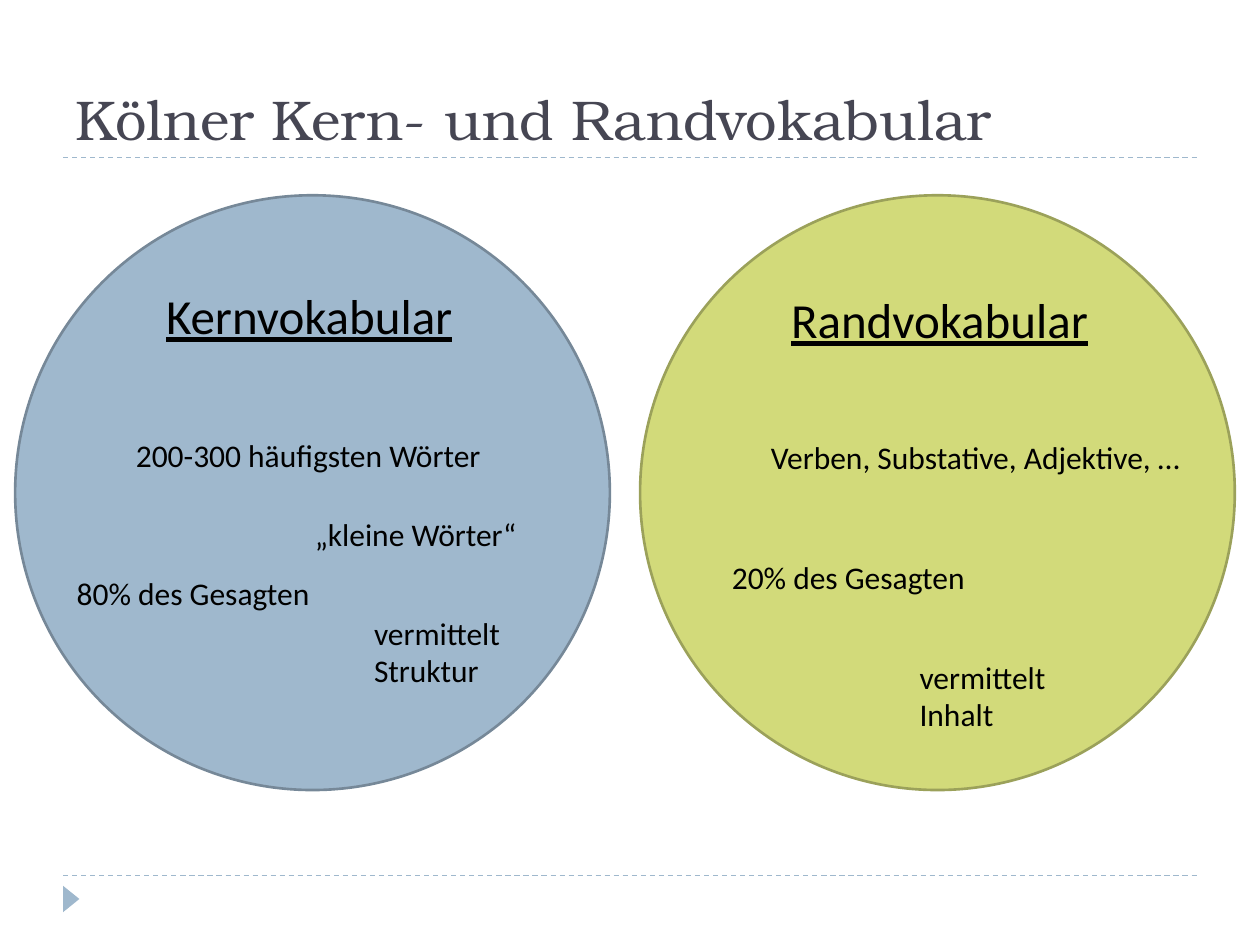
import pptx
import pptx.util
import pptx.dml.color
import pptx.enum.dml
import pptx.enum.shapes
import pptx.enum.text
import pptx.oxml
import pptx.oxml.ns

Inches = pptx.util.Inches
Pt = pptx.util.Pt
SHAPE = pptx.enum.shapes.MSO_SHAPE

COLORS = {
    "blue": "9FB8CD",
    "blue_edge": "768898",
    "green": "D2DA7A",
    "green_edge": "9BA15A",
    "title": "464653",
    "text": "000000",
}
TITLE = {"name": "TeX Gyre Bonum", "size": Pt(32)}
HEADING = {"name": "Calibri", "size": Pt(28), "underline": True}
BODY = {"name": "Calibri", "size": Pt(18)}


def rgb(name):
    return pptx.dml.color.RGBColor.from_string(COLORS[name])


def add_text(s, box, text, font, color="text", anchor="TOP"):
    sp = s.shapes.add_textbox(*map(Inches, box))
    tf = sp.text_frame
    tf.word_wrap = True
    tf.vertical_anchor = getattr(pptx.enum.text.MSO_ANCHOR, anchor)
    r = tf.paragraphs[0].add_run()
    r.text = text
    for key, value in font.items():
        setattr(r.font, key, value)
    r.font.color.rgb = rgb(color)


def add_shape(s, kind, box, fill, edge=None):
    sp = s.shapes.add_shape(kind, *map(Inches, box))
    sp.shadow.inherit = False
    sp.fill.solid()
    sp.fill.fore_color.rgb = rgb(fill)
    if edge:
        sp.line.color.rgb = rgb(edge)
        sp.line.width = Pt(1.5)
    else:
        sp.line.fill.background()
    return sp


def add_rule(s, left, top, width):
    x, y = Inches(left), Inches(top)
    line = s.shapes.add_connector(
        pptx.enum.shapes.MSO_CONNECTOR.STRAIGHT, x, y, x + Inches(width), y)
    line.line.color.rgb = rgb("blue")
    line.line.width = Pt(0.75)
    line.line.dash_style = pptx.enum.dml.MSO_LINE.DASH
    sp_pr = line._element.spPr
    sp_pr.append(pptx.oxml.parse_xml(
        "<a:effectLst %s/>" % pptx.oxml.ns.nsdecls("a")))


def add_header(s, left, top, width, height):
    add_rule(s, left, top + height, width)
    add_text(s, (left, top, width, height), "Kölner Kern- und Randvokabular",
             TITLE, "title", "BOTTOM")


def add_footer(s, left, top, width):
    add_rule(s, left, top, width)
    marker = add_shape(s, SHAPE.ISOSCELES_TRIANGLE,
                       (left - 0.04, top + 0.12, 0.21, 0.13), "blue")
    marker.rotation = 90


def add_circle(s, left, top, size, fill, labels):
    """Draw a circle; labels hold text, font and a box relative to it."""
    add_shape(s, SHAPE.OVAL, (left, top, size, size), fill, fill + "_edge")
    for text, font, (x, y, w, h) in labels:
        add_text(s, (left + x, top + y, w, h), text, font)


# Label boxes: offset from the circle's top left corner, then size
KERN = [
    ("Kernvokabular", HEADING, (1.1, 0.67, 2.83, 0.57)),
    ("200-300 häufigsten Wörter", BODY, (0.86, 1.86, 3.7, 0.4)),
    ("„kleine Wörter“", BODY, (2.28, 2.49, 1.97, 0.4)),
    ("80% des Gesagten", BODY, (0.39, 2.96, 2.68, 0.4)),
    ("vermittelt Struktur", BODY, (2.75, 3.27, 1.89, 0.71)),
]
RAND = [
    ("Randvokabular", HEADING, (1.1, 0.7, 2.83, 0.57)),
    ("Verben, Substative, Adjektive, …", BODY, (0.94, 1.88, 3.46, 0.4)),
    ("20% des Gesagten", BODY, (0.63, 2.83, 2.28, 0.4)),
    ("vermittelt Inhalt", BODY, (2.12, 3.62, 1.57, 0.71)),
]


def main():
    prs = pptx.Presentation()
    prs.slide_width, prs.slide_height = Inches(10), Inches(7.5)
    s = prs.slides.add_slide(prs.slide_layouts[6])

    # Title and footer with their dashed rules
    add_header(s, 0.5, 0.17, 9, 1.08)
    add_footer(s, 0.5, 6.95, 9)

    # Core and fringe vocabulary
    add_circle(s, 0.12, 1.55, 4.72, "blue", KERN)
    add_circle(s, 5.08, 1.55, 4.72, "green", RAND)

    prs.save("out.pptx")


if __name__ == "__main__":
    main()
